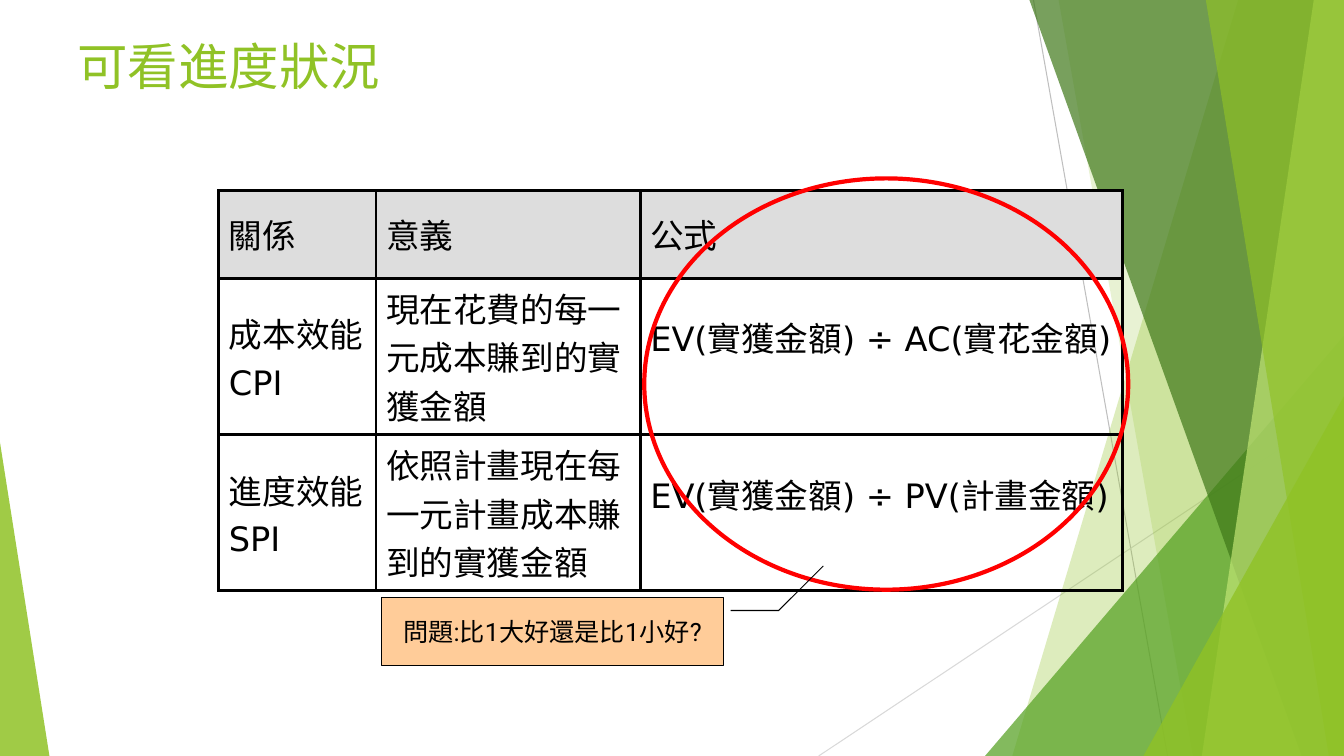
from dataclasses import dataclass

from lxml import etree
from pptx import Presentation, util as u
from pptx.dml.color import RGBColor
from pptx.enum import shapes, text
from pptx.oxml import ns


@dataclass(frozen=True)
class Theme:
    green: str = "90C226"
    mid_green: str = "54A021"
    dark_green: str = "3F7819"
    pale_green: str = "C0E474"
    gray: str = "BFBFBF"
    light_gray: str = "D9D9D9"
    black: str = "000000"
    header: str = "DDDDDD"
    highlight: str = "FF0000"
    question: str = "FFCC99"
    heading_font: str = "Roboto"
    table_font: str = "DejaVu Sans"
    title_size: int = 36
    table_size: int = 24
    question_size: int = 18


theme = Theme()
Inches = u.Inches


def paint(facet, color, opacity):
    facet.shadow.inherit = False
    facet.line.fill.background()
    facet.fill.solid()
    facet.fill.fore_color.rgb = RGBColor.from_string(color)
    tint = facet.fill._xPr.find(".//" + ns.qn("a:srgbClr"))
    etree.SubElement(tint, ns.qn("a:alpha"), val=str(opacity * 1000))


def style(paragraph, font, size, color):
    paragraph.font.name = font
    paragraph.font.size = u.Pt(size)
    paragraph.font.color.rgb = RGBColor.from_string(color)


deck = Presentation()
deck.slide_width, deck.slide_height = Inches(13.33), Inches(7.5)
slide = deck.slides.add_slide(deck.slide_layouts[6])
canvas = slide.shapes

for x1, y1, x2, y2, color in [
    (10.25, 0, 11.58, 7.5, theme.gray),
    (13.33, 4.03, 8.12, 7.5, theme.light_gray),
]:
    ray = canvas.add_connector(
        shapes.MSO_CONNECTOR.STRAIGHT, Inches(x1), Inches(y1), Inches(x2), Inches(y2))
    ray.line.color.rgb = RGBColor.from_string(color)
    ray.line.width = u.Pt(0.75)
    etree.SubElement(ray._element.spPr, ns.qn("a:effectLst"))

for kind, geometry, color, opacity in [
    ("band", (12.28, 10.04), theme.green, 30),
    ("band", (10.5, 11.83), theme.green, 20),
    ("triangle", (9.77, 3.33, 3.56, 1), theme.mid_green, 72),
    ("band", (10.21, 12.91), theme.dark_green, 70),
    ("band", (13.03, 11.92), theme.pale_green, 70),
    ("band", (11.96, 13.18), theme.green, 65),
    ("triangle", (11.34, 3.93, 1.99, 1), theme.green, 80),
    ("triangle", (0, 4.39, 0.49, 0), theme.green, 85),
]:
    if kind == "band":
        top_x, bottom_x = geometry
        outline = canvas.build_freeform(Inches(top_x), 0)
        outline.add_line_segments([
            (deck.slide_width, 0),
            (deck.slide_width, deck.slide_height),
            (Inches(bottom_x), deck.slide_height),
        ])
        facet = outline.convert_to_shape()
    else:
        left, top, width, apex = geometry
        facet = canvas.add_shape(
            shapes.MSO_SHAPE.ISOSCELES_TRIANGLE,
            Inches(left), Inches(top), Inches(width), Inches(7.5 - top))
        facet.adjustments[0] = apex
    paint(facet, color, opacity)

title = canvas.add_textbox(Inches(0.67), Inches(0.3), Inches(12), Inches(1.25)).text_frame
title.word_wrap = True
title.text = "可看進度狀況"
style(title.paragraphs[0], theme.heading_font, theme.title_size, theme.green)

metrics = [
    ("關係", "意義", "公式"),
    ("成本效能\nCPI", "現在花費的每一元成本賺到的實獲金額", "EV(實獲金額) ÷ AC(實花金額)"),
    ("進度效能\nSPI", "依照計畫現在每一元計畫成本賺到的實獲金額", "EV(實獲金額) ÷ PV(計畫金額)"),
]
table = canvas.add_table(
    3, 3, Inches(2.17), Inches(1.89), Inches(8.96), Inches(3.97)).table
table.first_row = table.horz_banding = False
for column, width in zip(table.columns, (1.56, 2.62, 4.78)):
    column.width = Inches(width)
for row, height in zip(table.rows, (0.87, 1.55, 1.55)):
    row.height = Inches(height)

for r, metric in enumerate(metrics):
    for c, wording in enumerate(metric):
        cell = table.cell(r, c)
        cell.text = wording
        cell.vertical_anchor = text.MSO_ANCHOR.MIDDLE
        if r == 0:
            cell.fill.solid()
            cell.fill.fore_color.rgb = RGBColor.from_string(theme.header)
        else:
            cell.fill.background()
            if c == 2:
                cell.margin_bottom = Inches(0.43)
        for i, paragraph in enumerate(cell.text_frame.paragraphs):
            style(paragraph, theme.table_font, theme.table_size, theme.black)
            if i:
                paragraph.space_before = u.Pt(theme.table_size * 0.2)
        properties = cell._tc.get_or_add_tcPr()
        for position, side in enumerate(("lnL", "lnR", "lnT", "lnB")):
            border = etree.Element(ns.qn("a:" + side), w=str(u.Pt(2.25)))
            fill = etree.SubElement(border, ns.qn("a:solidFill"))
            etree.SubElement(fill, ns.qn("a:srgbClr"), val=theme.black)
            properties.insert(position, border)

formula_ring = canvas.add_shape(
    shapes.MSO_SHAPE.OVAL, Inches(6.39), Inches(1.77), Inches(4.8), Inches(4.08))
formula_ring.shadow.inherit = False
formula_ring.fill.background()
formula_ring.line.color.rgb = RGBColor.from_string(theme.highlight)
formula_ring.line.width = u.Pt(3)

question = canvas.add_shape(
    shapes.MSO_SHAPE.LINE_CALLOUT_2, Inches(3.78), Inches(5.93), Inches(3.4), Inches(0.67))
for i, offset in enumerate((0.19, 1.02, 0.19, 1.16, -0.47, 1.29)):
    question.adjustments[i] = offset
question.shadow.inherit = False
question.fill.solid()
question.fill.fore_color.rgb = RGBColor.from_string(theme.question)
question.line.color.rgb = RGBColor.from_string(theme.black)
question.line.width = u.Pt(0.75)
wording = question.text_frame
wording.text = "問題:比1大好還是比1小好?"
wording.word_wrap = True
wording.margin_left = wording.margin_right = Inches(0.15)
wording.vertical_anchor = text.MSO_ANCHOR.MIDDLE
wording.paragraphs[0].alignment = text.PP_ALIGN.CENTER
style(wording.paragraphs[0], theme.heading_font, theme.question_size, theme.black)

deck.save("out.pptx")
